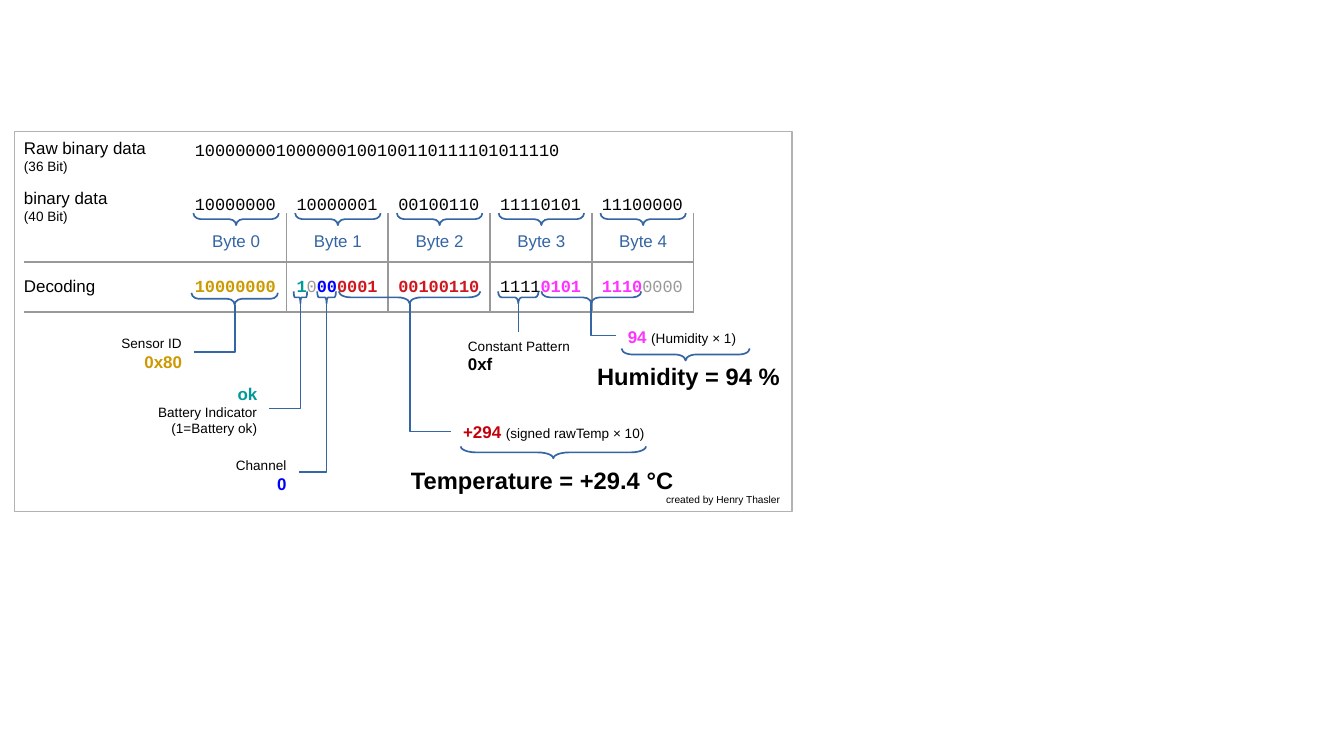
"""Build a slide that explains how 40 bits of sensor data are decoded."""
from lxml import etree
from pptx import Presentation
from pptx.dml.color import RGBColor
from pptx.enum.shapes import MSO_CONNECTOR, MSO_SHAPE
from pptx.enum.text import PP_ALIGN
from pptx.oxml.ns import qn
from pptx.util import Cm, Pt

STRAIGHT, ELBOW = MSO_CONNECTOR.STRAIGHT, MSO_CONNECTOR.ELBOW
RECTANGLE, BRACE = MSO_SHAPE.RECTANGLE, MSO_SHAPE.LEFT_BRACE
LEFT, RIGHT = PP_ALIGN.LEFT, PP_ALIGN.RIGHT

SANS, MONO = "Arial", "Courier New"
BLACK, WHITE, BLUE, GRAY, BORDER = "000000", "FFFFFF", "3465A4", "999999", "B2B2B2"
GOLD, TEAL, NAVY, RED, PINK, CRIMSON = (
    "CC9900", "009999", "0000FF", "CE181E", "FF33FF", "C5000B")

FRAME = (0.3, 2.74, 16.2, 7.92)
BYTE_COUNT, BYTE_PITCH = 5, 2.12
FIRST_DIVIDER, DIVIDER_TOP, DIVIDER_BOTTOM = 5.97, 4.44, 6.5
ROW_LEFT, ROW_LINES = 0.51, (5.46, 6.5)
BYTE_BRACE = (4.03, 4.44, 1.78)
BYTE_LABEL = (4.17, 4.67, 1.6, 0.64)
BRACE_DEPTH = 0.25

# Each run is (text, size, colour, bold).
BIT_ROWS = [
    ((3.81, 2.79, 10.67, 0.66),
     [("100000001000000100100110111101011110", 10, BLACK, False)]),
    ((3.81, 3.91, 10.92, 1.04),
     [("10000000\t10000001\t00100110\t11110101\t11100000", 10, BLACK, False)]),
    ((3.81, 5.61, 10.92, 1.04),
     [("10000000\t", 10, GOLD, True), ("1", 10, TEAL, True),
      ("0", 10, GRAY, False), ("00", 10, NAVY, True),
      ("0001\t00100110\t", 10, RED, True), ("1111", 10, BLACK, False),
      ("0101\t1110", 10, PINK, True), ("0000", 10, GRAY, False)]),
]

LABELS = [
    ((0.25, 2.74, 3.5, 1.04), LEFT,
     [[("Raw binary data", 10, BLACK, False)], [("(36 Bit)", 8, BLACK, False)]]),
    ((0.25, 3.78, 3.5, 1.35), LEFT,
     [[("binary data", 10, BLACK, False)], [("(40 Bit)", 8, BLACK, False)]]),
    ((0.25, 5.61, 3.5, 1.04), LEFT, [[("Decoding", 10, BLACK, False)]]),
    ((2.04, 6.86, 2.0, 0.97), RIGHT,
     [[("Sensor ID", 8, BLACK, False)], [("0x80", 10, GOLD, True)]]),
    ((2.81, 7.87, 2.8, 1.27), RIGHT,
     [[("ok", 10, TEAL, True)], [("Battery Indicator", 8, BLACK, False)],
      [("(1=Battery ok)", 8, BLACK, False)]]),
    ((4.22, 9.4, 2.0, 0.97), RIGHT,
     [[("Channel", 8, BLACK, False)], [("0", 10, NAVY, True)]]),
    ((9.5, 6.91, 2.9, 0.97), LEFT,
     [[("Constant Pattern", 8, BLACK, False)], [("0xf", 10, BLACK, True)]]),
    ((12.83, 6.68, 3.2, 0.64), LEFT,
     [[("94 ", 10, PINK, True), ("(Humidity × 1)", 8, BLACK, False)]]),
    ((12.19, 7.42, 4.57, 0.81), LEFT, [[("Humidity = 94 %", 14, BLACK, True)]]),
    ((9.4, 8.66, 4.6, 0.64), LEFT,
     [[("+294 ", 10, CRIMSON, True), ("(signed rawTemp × 10)", 8, BLACK, False)]]),
    ((8.31, 9.58, 6.45, 0.84), LEFT, [[("Temperature = +29.4 °C", 14, BLACK, True)]]),
    ((13.3, 10.16, 3.2, 0.48), RIGHT, [[("created by Henry Thasler", 6, BLACK, False)]]),
]

# Each field is a brace (left, top, width) and the end of its leader line.
FIELDS = {
    "sensor": ((3.99, 6.1, 1.8), (4.04, 7.34)),
    "battery": ((6.12, 6.07, 0.28), (5.61, 8.51)),
    "channel": ((6.61, 6.07, 0.39), (6.22, 9.83)),
    "temperature": ((7.06, 6.07, 2.95), (9.4, 8.99)),
    "constant": ((10.38, 6.07, 0.84), (10.8, 6.91)),
    "humidity": ((11.28, 6.07, 2.08), (12.83, 6.99)),
}
RESULT_BRACES = [(12.95, 7.26, 2.67), (9.6, 9.3, 3.86)]


def color(value):
    return RGBColor.from_string(value)


def add_text(slide, box, paragraphs, font=SANS, align=LEFT, tabbed=False):
    frame = slide.shapes.add_textbox(*map(Cm, box)).text_frame
    frame.word_wrap = True
    for index, runs in enumerate(paragraphs):
        paragraph = frame.add_paragraph() if index else frame.paragraphs[0]
        paragraph.alignment = align
        if tabbed:
            tabs = etree.SubElement(paragraph._p.get_or_add_pPr(), qn("a:tabLst"))
            for stop in range(1, BYTE_COUNT):
                etree.SubElement(tabs, qn("a:tab"), pos=str(Cm(stop * BYTE_PITCH)), algn="l")
        for text, size, run_color, bold in runs:
            run = paragraph.add_run()
            run.text = text
            run.font.name, run.font.size, run.font.bold = font, Pt(size), bold
            run.font.color.rgb = color(run_color)


def add_line(slide, start, end, line_color, kind=STRAIGHT):
    connector = slide.shapes.add_connector(kind, *map(Cm, (*start, *end)))
    connector.line.color.rgb = color(line_color)
    connector.line.width = Pt(1)
    etree.SubElement(connector._element.spPr, qn("a:effectLst"))
    return connector


def add_brace(slide, left, top, width):
    middle_x, middle_y = left + width / 2, top + BRACE_DEPTH / 2
    shape = slide.shapes.add_shape(
        BRACE, Cm(middle_x - BRACE_DEPTH / 2), Cm(middle_y - width / 2),
        Cm(BRACE_DEPTH), Cm(width))
    shape.rotation = 270
    shape.adjustments[0] = width / BRACE_DEPTH / 12
    shape.shadow.inherit = False
    shape.fill.background()
    shape.line.color.rgb = color(BLUE)
    shape.line.width = Pt(1)


def add_leader(slide, tip, end):
    """Draw a line down from the brace tip, then sideways to its label."""
    if abs(end[0] - tip[0]) < 0.01:
        add_line(slide, tip, end, BLUE)
        return
    middle_x, middle_y = (tip[0] + end[0]) / 2, (tip[1] + end[1]) / 2
    half_width, half_height = (end[1] - tip[1]) / 2, abs(end[0] - tip[0]) / 2
    to_right = end[0] > tip[0]
    side = 1 if to_right else -1
    connector = add_line(
        slide, (middle_x + side * half_width, middle_y - half_height),
        (middle_x - side * half_width, middle_y + half_height), BLUE, ELBOW)
    properties = connector._element.spPr
    properties.find(qn("a:xfrm")).set("rot", str((270 if to_right else 90) * 60000))
    properties.find(qn("a:prstGeom")).set("prst", "bentConnector2")


def main():
    presentation = Presentation()
    presentation.slide_width, presentation.slide_height = Cm(28), Cm(15.75)
    slide = presentation.slides.add_slide(presentation.slide_layouts[6])

    frame = slide.shapes.add_shape(RECTANGLE, *map(Cm, FRAME))
    frame.shadow.inherit = False
    frame.fill.solid()
    frame.fill.fore_color.rgb = color(WHITE)
    frame.line.color.rgb = color(BORDER)
    frame.line.width = Pt(0)

    dividers = [FIRST_DIVIDER + index * BYTE_PITCH for index in range(BYTE_COUNT)]
    for x in dividers:
        add_line(slide, (x, DIVIDER_TOP), (x, DIVIDER_BOTTOM), GRAY)
    for y in ROW_LINES:
        add_line(slide, (ROW_LEFT, y), (dividers[-1], y), GRAY)

    for box, runs in BIT_ROWS:
        add_text(slide, box, [runs], font=MONO, tabbed="\t" in runs[0][0])
    for box, align, paragraphs in LABELS:
        add_text(slide, box, paragraphs, align=align)

    for index in range(BYTE_COUNT):
        shift = index * BYTE_PITCH
        add_brace(slide, BYTE_BRACE[0] + shift, *BYTE_BRACE[1:])
        add_text(slide, (BYTE_LABEL[0] + shift, *BYTE_LABEL[1:]),
                 [[(f"Byte {index}", 10, BLUE, False)]])

    for brace, end in FIELDS.values():
        left, top, width = brace
        add_brace(slide, *brace)
        add_leader(slide, (left + width / 2, top + BRACE_DEPTH), end)
    for brace in RESULT_BRACES:
        add_brace(slide, *brace)

    presentation.save("out.pptx")


if __name__ == "__main__":
    main()
